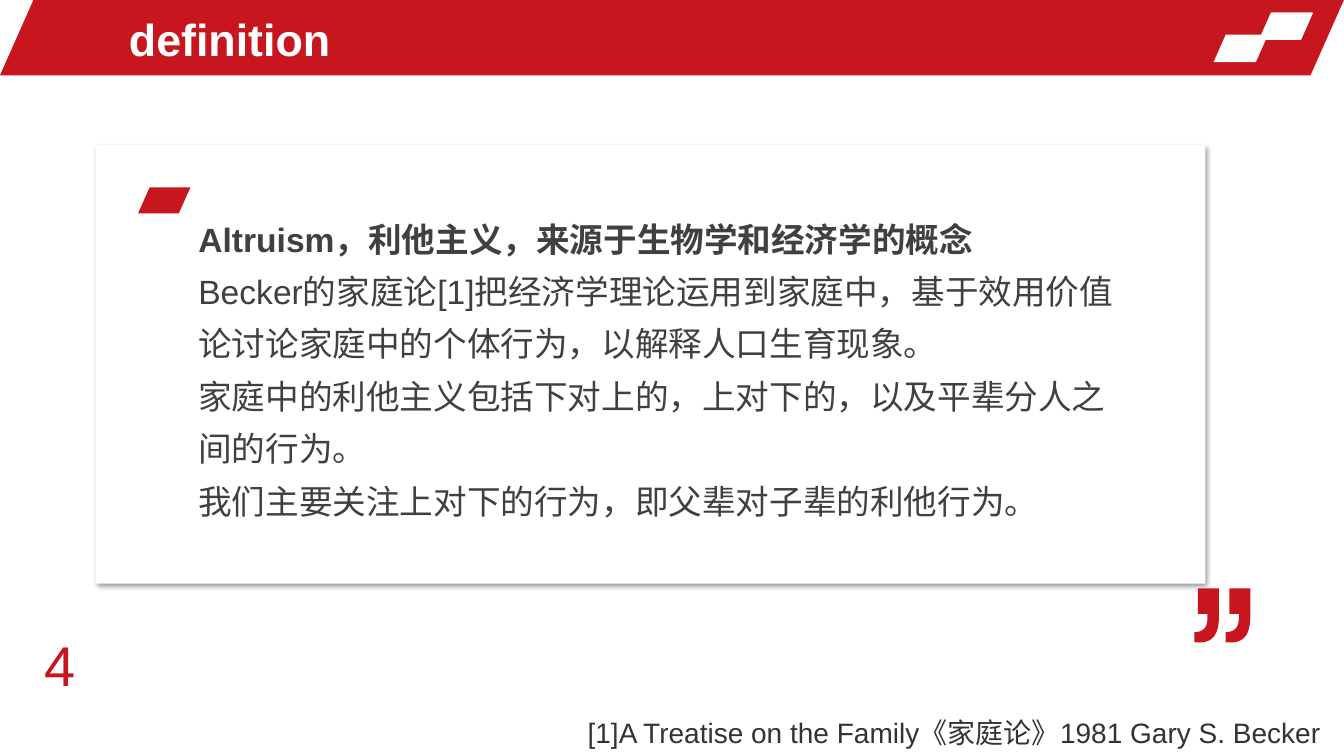
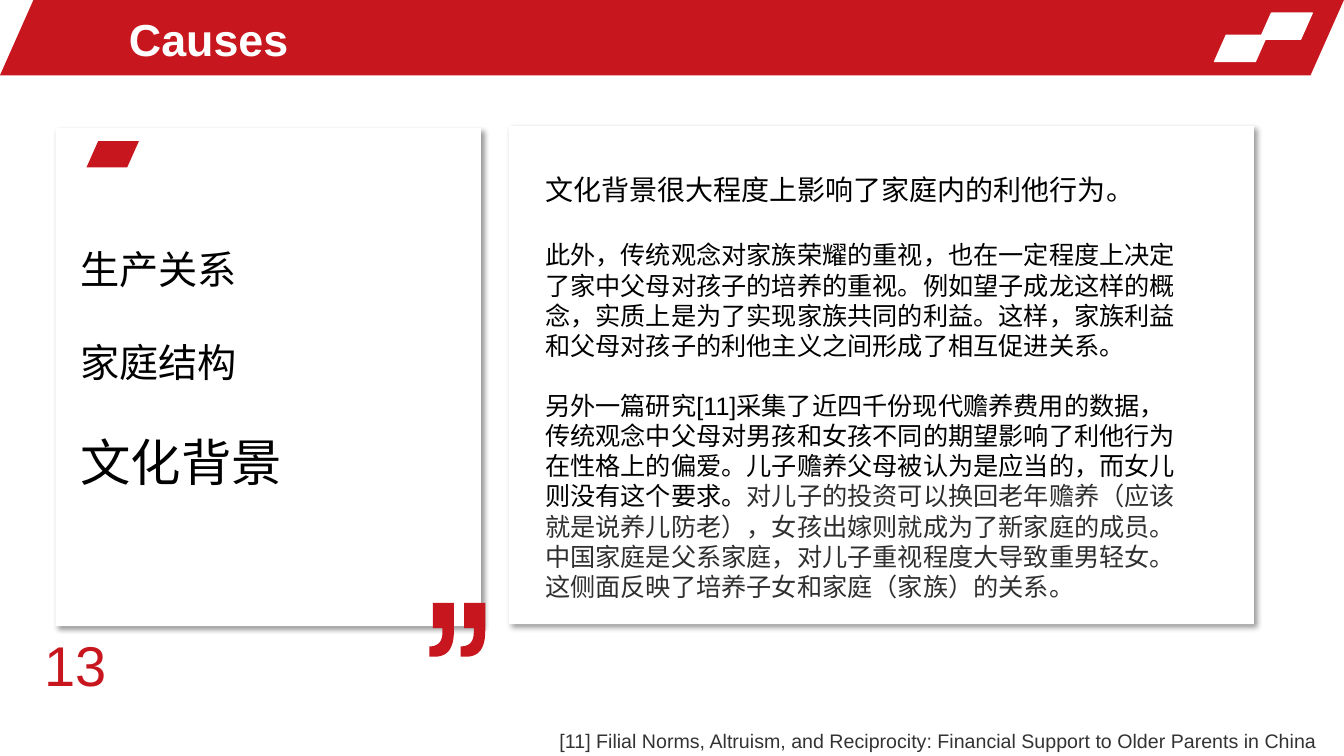
from lxml import etree
from pptx import Presentation
from pptx.dml.color import RGBColor
from pptx.enum.shapes import MSO_SHAPE
from pptx.enum.text import MSO_ANCHOR
from pptx.oxml.ns import qn
from pptx.util import Cm, Pt

RECTANGLE = MSO_SHAPE.RECTANGLE
PARALLELOGRAM = MSO_SHAPE.PARALLELOGRAM
TOP = MSO_ANCHOR.TOP
MIDDLE = MSO_ANCHOR.MIDDLE

FONT = "Arial"
RED = "C8161E"
WHITE = "FFFFFF"
BLACK = "000000"
BODY_GREY = "404040"
NOTE_GREY = "333333"
TAIL_GREY = "2F2F2F"

CHIP_SIZE = (1.32, 0.66)
SLANT = 0.444
COMMA_GAP = 0.79
CURVE_STEPS = 12


def rgb(value):
    return RGBColor.from_string(value)


def bezier(start, control_a, control_b, end):
    points = []
    for step in range(CURVE_STEPS + 1):
        t = step / CURVE_STEPS
        weights = ((1 - t) ** 3, 3 * t * (1 - t) ** 2, 3 * t * t * (1 - t), t ** 3)
        corners = (start, control_a, control_b, end)
        points.append(tuple(sum(w * c[axis] for w, c in zip(weights, corners)) for axis in (0, 1)))
    return points


COMMA = [
    (0.09, 0), (0.62, 0),
    *bezier((0.62, 0.71), (0.62, 1.14), (0.47, 1.36), (0.13, 1.36)),
    (0, 1.36),
    *bezier((0, 1.1), (0.22, 1.1), (0.33, 0.98), (0.33, 0.76)),
    (0.33, 0.64), (0.09, 0.64),
]


class Deck:
    """Slides in the red band style, built one element at a time."""

    def __init__(self):
        self.presentation = Presentation()
        self.presentation.slide_width = Cm(33.87)
        self.presentation.slide_height = Cm(19.05)
        self.slide = None

    def start(self, title, number):
        self.slide = self.presentation.slides.add_slide(self.presentation.slide_layouts[6])
        self.slanted(0, 0, (33.87, 1.9), RED)
        for left, top in ((31.75, 0.33), (30.61, 0.89)):
            chip = self.slanted(left, top, CHIP_SIZE, WHITE)
            chip.line.color.rgb = rgb(WHITE)
            chip.line.width = Pt(1)
        self.text((3, 0.15, 19.66, 1.65), [title], 32, WHITE, bold=True, anchor=MIDDLE)
        self.text((0.86, 15.77, 2.6, 1.96), [number], 40, RED)

    def paint(self, shape, fill):
        shape.shadow.inherit = False
        shape.fill.solid()
        shape.fill.fore_color.rgb = rgb(fill)
        shape.line.fill.background()
        return shape

    def preset(self, kind, box, fill):
        shape = self.slide.shapes.add_shape(kind, *(Cm(length) for length in box))
        return self.paint(shape, fill)

    def slanted(self, left, top, size, fill):
        shape = self.preset(PARALLELOGRAM, (left, top, *size), fill)
        shape.adjustments[0] = SLANT
        return shape

    def card(self, *box):
        card = self.preset(RECTANGLE, box, WHITE)
        effects = card.element.spPr.find(qn("a:effectLst"))
        shadow = etree.SubElement(effects, qn("a:outerShdw"), blurRad=str(Pt(4)), dist=str(Pt(3)),
                                  dir="2700000", algn="tl", rotWithShape="0")
        color = etree.SubElement(shadow, qn("a:srgbClr"), val=BLACK)
        etree.SubElement(color, qn("a:alpha"), val="40000")

    def accent(self, left, top):
        self.slanted(left, top, CHIP_SIZE, RED)

    def quote(self, left, top):
        commas = [[(Cm(left + shift + x), Cm(top + y)) for x, y in COMMA] for shift in (0, COMMA_GAP)]
        builder = self.slide.shapes.build_freeform(*commas[0][0], scale=1.0)
        builder.add_line_segments(commas[0][1:], close=True)
        builder.move_to(*commas[1][0])
        builder.add_line_segments(commas[1][1:], close=True)
        self.paint(builder.convert_to_shape(), RED)

    def style(self, run, size, color, bold=False):
        run.font.name = FONT
        run.font.size = Pt(size)
        run.font.bold = bold
        run.font.color.rgb = rgb(color)

    def text(self, box, lines, size, color, bold=False, anchor=TOP, spacing=None):
        frame = self.slide.shapes.add_textbox(*(Cm(length) for length in box)).text_frame
        frame.word_wrap = True
        frame.vertical_anchor = anchor
        frame.text = "\n".join(lines)
        for paragraph in frame.paragraphs:
            paragraph.line_spacing = spacing
            for run in paragraph.runs:
                self.style(run, size, color, bold)
        return frame

    def footnote(self, box, citation, size):
        frame = self.text(box, [citation], size, NOTE_GREY, anchor=MIDDLE)
        frame.margin_left = frame.margin_right = frame.margin_top = frame.margin_bottom = 0


def definition_slide(deck):
    deck.start("definition", "4")
    deck.card(2.41, 3.66, 27.97, 11.05)
    deck.accent(3.48, 4.72)
    concept = deck.text((4.75, 5.08, 24.16, 8.13), [
        "Altruism，利他主义，来源于生物学和经济学的概念",
        "Becker的家庭论[1]把经济学理论运用到家庭中，基于效用价值论讨论家庭中的个体行为，以解释人口生育现象。",
        "家庭中的利他主义包括下对上的，上对下的，以及平辈分人之间的行为。",
        "我们主要关注上对下的行为，即父辈对子辈的利他行为。",
    ], 24, BODY_GREY, spacing=1.3)
    concept.paragraphs[0].runs[0].font.bold = True
    deck.quote(30.1, 14.83)
    deck.footnote((14.81, 17.88, 19.06, 1.17),
                  "[1]A Treatise on the Family《家庭论》1981 Gary S. Becker", 20)


def causes_slide(deck):
    deck.start("Causes", "13")
    deck.card(1.4, 3.23, 10.72, 12.55)
    deck.accent(2.18, 3.56)
    deck.quote(10.82, 15.19)
    causes = deck.text((1.78, 6.05, 10, 6.58), ["生产关系", "家庭结构", "文化背景"], 28, BLACK)
    for cause in causes.paragraphs[1:]:
        cause.space_before = Pt(33)
    causes.paragraphs[2].runs[0].font.size = Pt(36)

    deck.card(12.83, 3.18, 18.77, 12.55)
    culture = deck.text((13.49, 4.22, 16.64, 11.2), [
        "文化背景很大程度上影响了家庭内的利他行为。",
        "此外，传统观念对家族荣耀的重视，也在一定程度上决定了家中父母对孩子的培养的重视。"
        "例如望子成龙这样的概念，实质上是为了实现家族共同的利益。"
        "这样，家族利益和父母对孩子的利他主义之间形成了相互促进关系。",
        "另外一篇研究[11]采集了近四千份现代赡养费用的数据，"
        "传统观念中父母对男孩和女孩不同的期望影响了利他行为在性格上的偏爱。"
        "儿子赡养父母被认为是应当的，而女儿则没有这个要求。",
    ], 18, BLACK)
    claim, tradition, study = culture.paragraphs
    claim.runs[0].font.size = Pt(20)
    tradition.space_before = Pt(24)
    study.space_before = Pt(21)
    inference = study.add_run()
    inference.text = (
        "对儿子的投资可以换回老年赡养（应该就是说养儿防老），女孩出嫁则就成为了新家庭的成员。"
        "中国家庭是父系家庭，对儿子重视程度大导致重男轻女。"
        "这侧面反映了培养子女和家庭（家族）的关系。"
    )
    deck.style(inference, 18, TAIL_GREY)
    deck.footnote((14.1, 18.29, 19.77, 0.76),
                  "[11] Filial Norms, Altruism, and Reciprocity: "
                  "Financial Support to Older Parents in China", 14)


def main():
    deck = Deck()
    definition_slide(deck)
    causes_slide(deck)
    deck.presentation.save("out.pptx")


if __name__ == "__main__":
    main()
